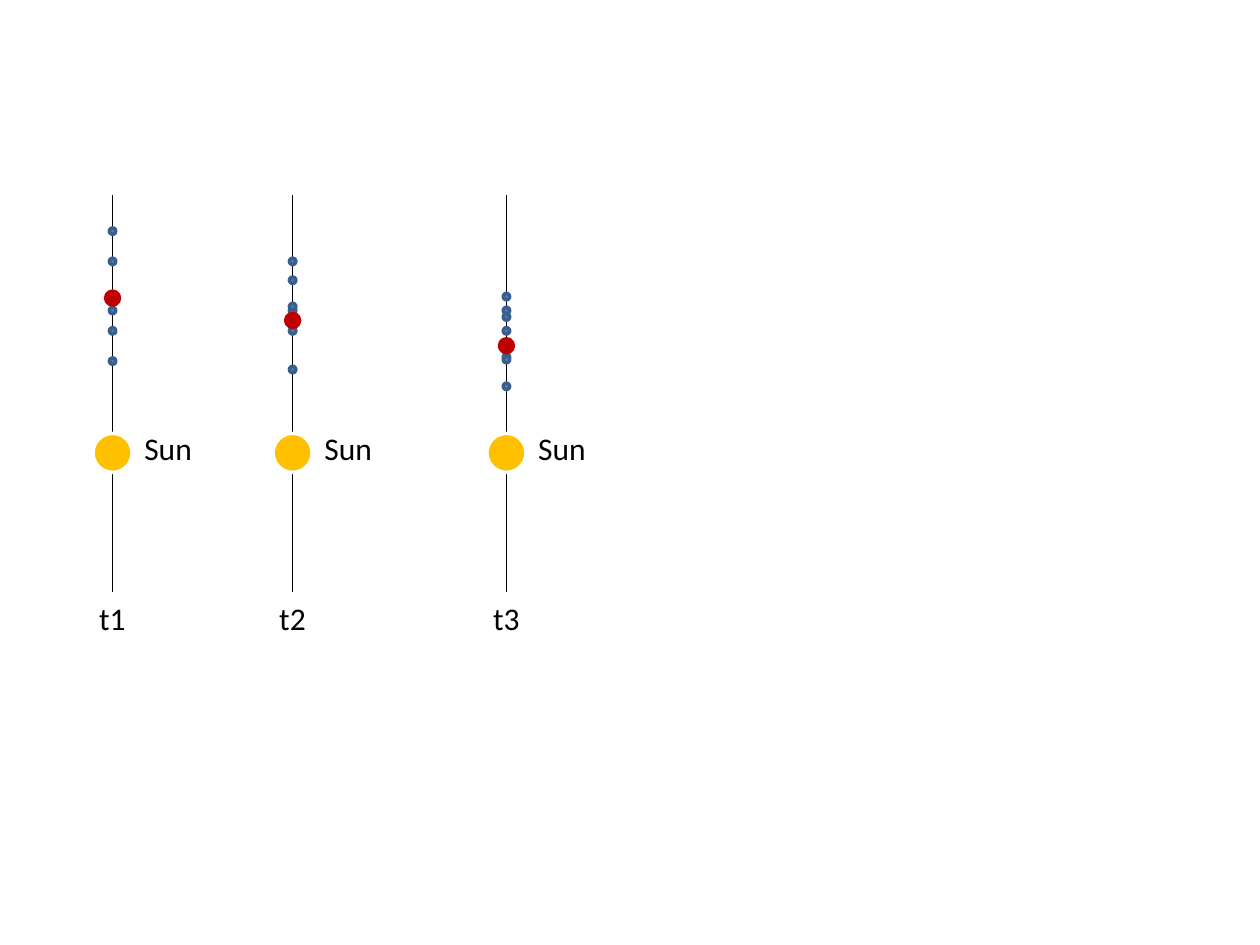
from dataclasses import dataclass

from lxml import etree
from pptx import Presentation
from pptx.dml.color import RGBColor
from pptx.enum.shapes import MSO_CONNECTOR, MSO_SHAPE
from pptx.enum.text import MSO_AUTO_SIZE
from pptx.oxml.ns import qn
from pptx.util import Cm, Pt

STRAIGHT = MSO_CONNECTOR.STRAIGHT
OVAL = MSO_SHAPE.OVAL
FIT_SHAPE = MSO_AUTO_SIZE.SHAPE_TO_FIT_TEXT

# Lengths in centimetres; bodies are given by the height of their centre.
TIMES = [
    {"label": "t1", "x": 2.27, "centre": 6.01,
     "bodies": [4.66, 5.27, 6.26, 6.67, 7.28, 5.98]},
    {"label": "t2", "x": 5.9, "centre": 6.46,
     "bodies": [5.27, 5.65, 6.26, 6.67, 7.45, 6.39, 6.18]},
    {"label": "t3", "x": 10.21, "centre": 6.97,
     "bodies": [7.2, 7.79, 6.26, 6.67, 7.25, 6.39, 5.98]},
]
AXIS_TOP, AXIS_BOTTOM = 3.94, 11.93
SUN_Y, SUN_SIZE = 9.13, 0.79
BODY_SIZE, CENTRE_SIZE = 0.13, 0.28
TEXT_HEIGHT = 1.02


@dataclass(frozen=True)
class Theme:
    """Colours, type and line widths of the slide."""
    font: str = "Calibri"
    text_size: float = 18
    ink: str = "000000"
    paper: str = "FFFFFF"
    sun: str = "FFC000"
    body: str = "4F81BD"
    body_edge: str = "3A5F8C"
    centre: str = "C00000"
    axis_width: float = 0.75
    edge_width: float = 2


THEME = Theme()


def add_disc(slide, x, y, size, fill, edge):
    """Draw a circle centred on x, y."""
    disc = slide.shapes.add_shape(
        OVAL, Cm(x - size / 2), Cm(y - size / 2), Cm(size), Cm(size))
    disc.shadow.inherit = False
    disc.fill.solid()
    disc.fill.fore_color.rgb = RGBColor.from_string(fill)
    disc.line.color.rgb = RGBColor.from_string(edge)
    disc.line.width = Pt(THEME.edge_width)


def add_label(slide, text, left, top, width, wrap):
    """Write one line of text."""
    box = slide.shapes.add_textbox(Cm(left), Cm(top), Cm(width), Cm(TEXT_HEIGHT))
    frame = box.text_frame
    frame.word_wrap = wrap
    frame.auto_size = FIT_SHAPE
    para = frame.paragraphs[0]
    para.text = text
    para.font.name = THEME.font
    para.font.size = Pt(THEME.text_size)
    para.font.color.rgb = RGBColor.from_string(THEME.ink)


def add_axis(slide, x):
    """Draw the vertical line through the sun."""
    axis = slide.shapes.add_connector(
        STRAIGHT, Cm(x), Cm(AXIS_TOP), Cm(x), Cm(AXIS_BOTTOM))
    axis.line.color.rgb = RGBColor.from_string(THEME.ink)
    axis.line.width = Pt(THEME.axis_width)
    etree.SubElement(axis._element.spPr, qn("a:effectLst"))


def add_time(slide, time):
    """Draw the sun, the bodies and their centre at one moment."""
    x = time["x"]
    add_axis(slide, x)
    for y in time["bodies"]:
        add_disc(slide, x, y, BODY_SIZE, THEME.body, THEME.body_edge)
    add_disc(slide, x, SUN_Y, SUN_SIZE, THEME.sun, THEME.paper)
    add_label(slide, "Sun", x + 0.39, 8.53, 1.47, False)
    add_label(slide, time["label"], x - 0.52, 11.96, 3.33, True)
    add_disc(slide, x, time["centre"], CENTRE_SIZE, THEME.centre, THEME.centre)


def main():
    """Build and save the deck."""
    deck = Presentation()
    deck.slide_width, deck.slide_height = Cm(25.4), Cm(19.05)
    slide = deck.slides.add_slide(deck.slide_layouts[6])
    for time in TIMES:
        add_time(slide, time)
    deck.save("out.pptx")


main()
